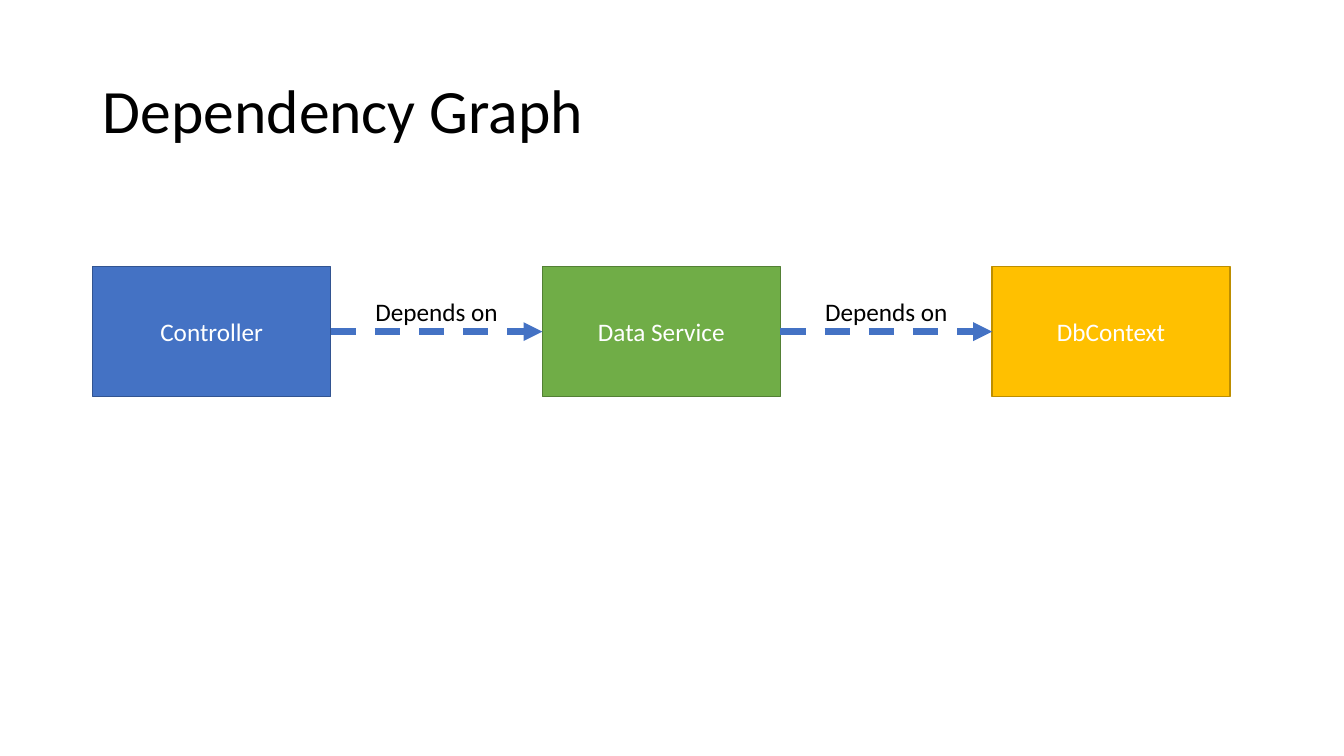
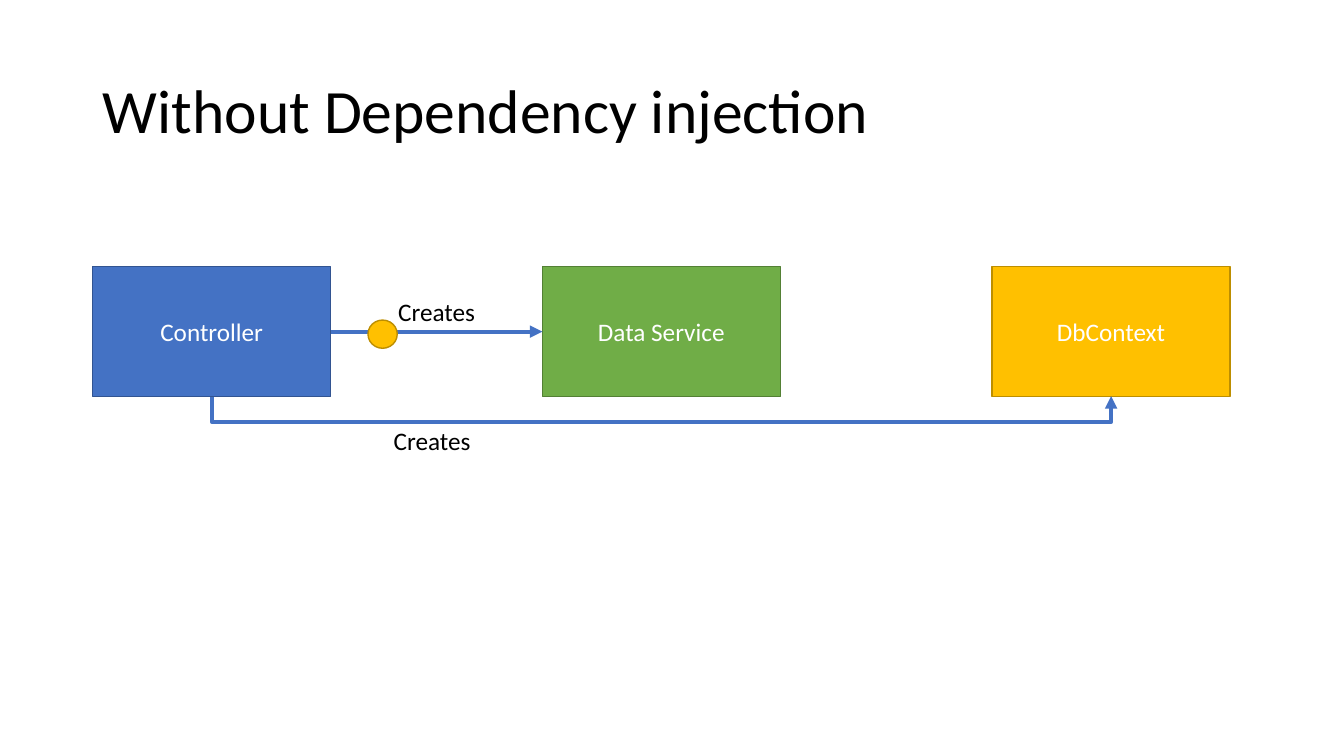
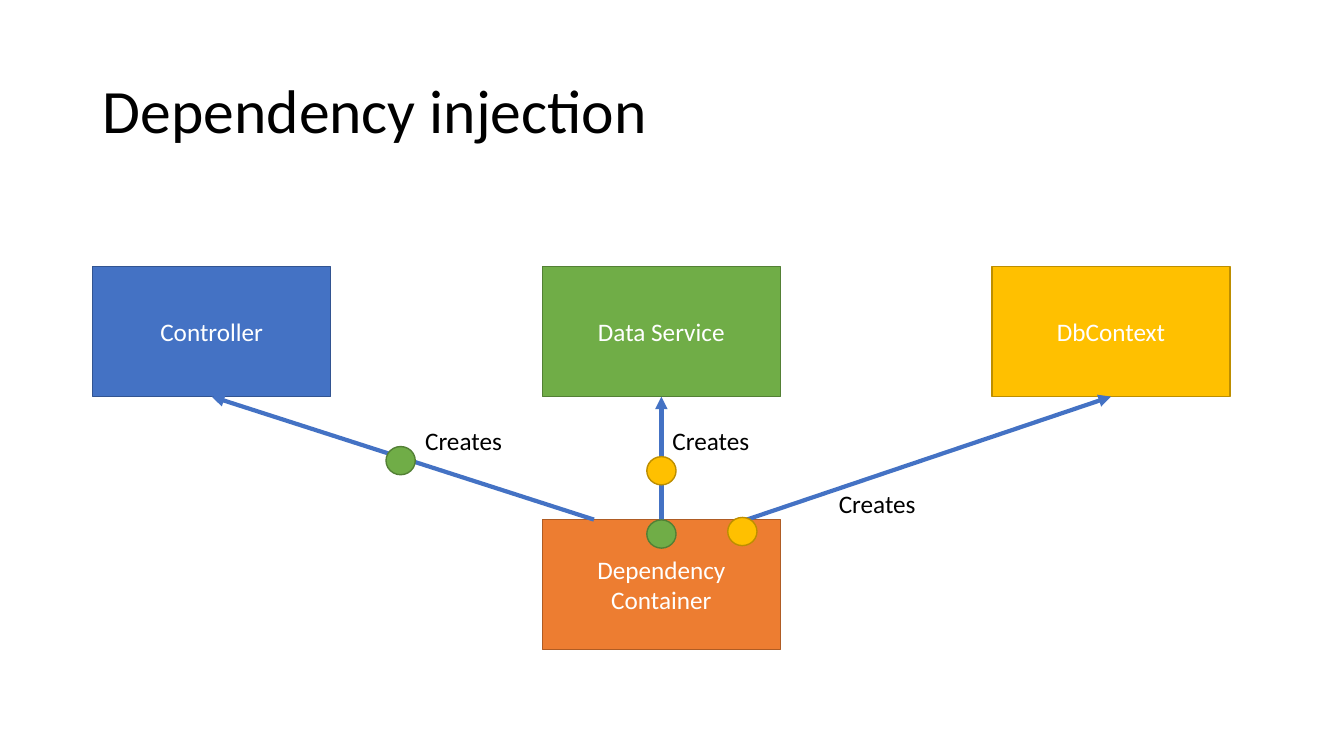
from dataclasses import dataclass

from lxml import etree
from pptx import Presentation
from pptx.dml.color import RGBColor
from pptx.enum.dml import MSO_LINE
from pptx.enum.shapes import MSO_CONNECTOR, MSO_SHAPE
from pptx.enum.text import MSO_ANCHOR, MSO_AUTO_SIZE, PP_ALIGN
from pptx.oxml.ns import qn
from pptx.util import Inches, Pt

RECT, OVAL = MSO_SHAPE.RECTANGLE, MSO_SHAPE.OVAL
LINE, ELBOW = MSO_CONNECTOR.STRAIGHT, MSO_CONNECTOR.ELBOW
DASH = MSO_LINE.DASH
LEFT, MID = PP_ALIGN.LEFT, PP_ALIGN.CENTER
CENTER = MSO_ANCHOR.MIDDLE
FIT, FIXED = MSO_AUTO_SIZE.SHAPE_TO_FIT_TEXT, MSO_AUTO_SIZE.NONE
TOP, WEST, BASE, EAST = range(4)  # connection sites of a rectangle


@dataclass(frozen=True)
class Theme:
    # Each pair is a fill and its outline
    blue: tuple = ("4472C4", "325491")
    green: tuple = ("70AD47", "538035")
    gold: tuple = ("FFC000", "BD8E00")
    orange: tuple = ("ED7D31", "AF5C24")
    white: str = "FFFFFF"
    black: str = "000000"
    font: str = "Calibri"
    head: int = 44
    text: int = 18
    edge: float = 1
    thin: float = 3
    thick: float = 4.5


class Deck:
    # Grid: whole columns and rows are the centres of the boxes
    X, Y = 2.1, 3.29
    COL, ROW = 4.46, 2.51
    BOX, DOT, LABEL = (2.36, 1.29), (0.29, 0.28), (2.11, 0.4)

    def __init__(self, theme):
        self.theme = theme
        self.prs = Presentation()
        self.prs.slide_width = Inches(13.33)
        self.prs.slide_height = Inches(7.5)
        self.slide = None

    def area(self, col, row, size):
        """Rectangle of the given size, centred on a grid point."""
        wide, high = size
        left = self.X + col * self.COL - wide / 2
        top = self.Y + row * self.ROW - high / 2
        return [Inches(v) for v in (left, top, wide, high)]

    def fill_text(self, frame, text, size, color, align=MID):
        frame.word_wrap = True
        frame.vertical_anchor = CENTER
        for i, part in enumerate(text.split("\n")):
            para = frame.add_paragraph() if i else frame.paragraphs[0]
            para.alignment = align
            run = para.add_run()
            run.text = part
            run.font.name = self.theme.font
            run.font.size = Pt(size)
            run.font.color.rgb = RGBColor.from_string(color)

    def page(self, title):
        """New slide with a title and the three main boxes."""
        self.slide = self.prs.slides.add_slide(self.prs.slide_layouts[5])
        head = self.slide.shapes.title
        head.left, head.top = Inches(0.92), Inches(0.4)
        head.width, head.height = Inches(11.5), Inches(1.45)
        t = self.theme
        self.fill_text(head.text_frame, title, t.head, t.black, LEFT)
        head.text_frame.auto_size = FIXED
        head.text_frame.paragraphs[0].line_spacing = 0.9
        parts = (("Controller", t.blue), ("Data Service", t.green),
                 ("DbContext", t.gold))
        return [self.box(i, 0, *part) for i, part in enumerate(parts)]

    def shape(self, kind, area, pair):
        item = self.slide.shapes.add_shape(kind, *area)
        item.shadow.inherit = False
        fill, edge = pair
        item.fill.solid()
        item.fill.fore_color.rgb = RGBColor.from_string(fill)
        item.line.color.rgb = RGBColor.from_string(edge)
        item.line.width = Pt(self.theme.edge)
        return item

    def box(self, col, row, text, pair):
        item = self.shape(RECT, self.area(col, row, self.BOX), pair)
        t = self.theme
        self.fill_text(item.text_frame, text, t.text, t.white)
        return item

    def dot(self, col, row, pair):
        self.shape(OVAL, self.area(col, row, self.DOT), pair)

    def label(self, col, row, text):
        item = self.slide.shapes.add_textbox(*self.area(col, row, self.LABEL))
        t = self.theme
        self.fill_text(item.text_frame, text, t.text, t.black)
        item.text_frame.auto_size = FIT

    def ink(self, link, width):
        """Line colour, width and arrowhead, without a shadow."""
        link.line.color.rgb = RGBColor.from_string(self.theme.blue[0])
        link.line.width = Pt(width)
        props = link.element.spPr
        etree.SubElement(props.find(qn("a:ln")), qn("a:tailEnd"),
                         type="triangle")
        etree.SubElement(props, qn("a:effectLst"))

    def arrow(self, start, out, end, into, shift=0, dashed=False):
        """Straight arrow; shift moves its start along the top, in columns."""
        link = self.slide.shapes.add_connector(LINE, 0, 0, 0, 0)
        if shift:
            link.begin_x = (start.left + start.width // 2
                            + Inches(shift * self.COL))
            link.begin_y = start.top
        else:
            link.begin_connect(start, out)
        link.end_connect(end, into)
        if dashed:
            link.line.dash_style = DASH
        self.ink(link, self.theme.thick if dashed else self.theme.thin)

    def loop(self, start, end, drop):
        """Elbow arrow running below two boxes of one row."""
        link = self.slide.shapes.add_connector(ELBOW, 0, 0, 0, 0)
        link.begin_connect(start, BASE)
        link.end_connect(end, BASE)
        # A thin upright frame, turned by 90 degrees and flipped both ways
        thin, span = 0.01, end.left - start.left
        link.width, link.height = Inches(thin), span
        link.left = start.left + (start.width + span - link.width) // 2
        link.top = start.top + start.height - span // 2
        props = link.element.spPr
        frame = props.find(qn("a:xfrm"))
        for key, value in (("rot", "5400000"), ("flipH", "1"), ("flipV", "1")):
            frame.set(key, value)
        bend = round(-drop / thin * 100000)
        etree.SubElement(props.find(qn("a:prstGeom")).find(qn("a:avLst")),
                         qn("a:gd"), name="adj1", fmla=f"val {bend}")
        self.ink(link, self.theme.thin)


def main():
    theme = Theme()
    deck = Deck(theme)

    # Chain of dependencies
    chain = deck.page("Dependency Graph")
    for i, (user, used) in enumerate(zip(chain, chain[1:])):
        deck.arrow(user, EAST, used, WEST, dashed=True)
        deck.label(i + 0.5, -0.08, "Depends on")

    # The controller creates everything
    user, data, store = deck.page("Without Dependency injection")
    deck.arrow(user, EAST, data, WEST)
    deck.label(0.5, -0.08, "Creates")
    deck.loop(user, store, 0.25)
    deck.label(0.49, 0.43, "Creates")
    deck.dot(0.38, 0.01, theme.gold)

    # The container creates everything
    parts = deck.page("Dependency injection")
    pool = deck.box(1, 1, "Dependency\nContainer", theme.orange)
    for part, shift in zip(parts, (-0.15, 0, 0.19)):
        deck.arrow(pool, TOP, part, BASE, shift)
    for col, row in ((0.56, 0.43), (1.11, 0.43), (1.48, 0.68)):
        deck.label(col, row, "Creates")
    for col, row, pair in ((0.42, 0.51, theme.green), (1, 0.55, theme.gold),
                           (1, 0.8, theme.green), (1.18, 0.79, theme.gold)):
        deck.dot(col, row, pair)

    deck.prs.save("out.pptx")


if __name__ == "__main__":
    main()
